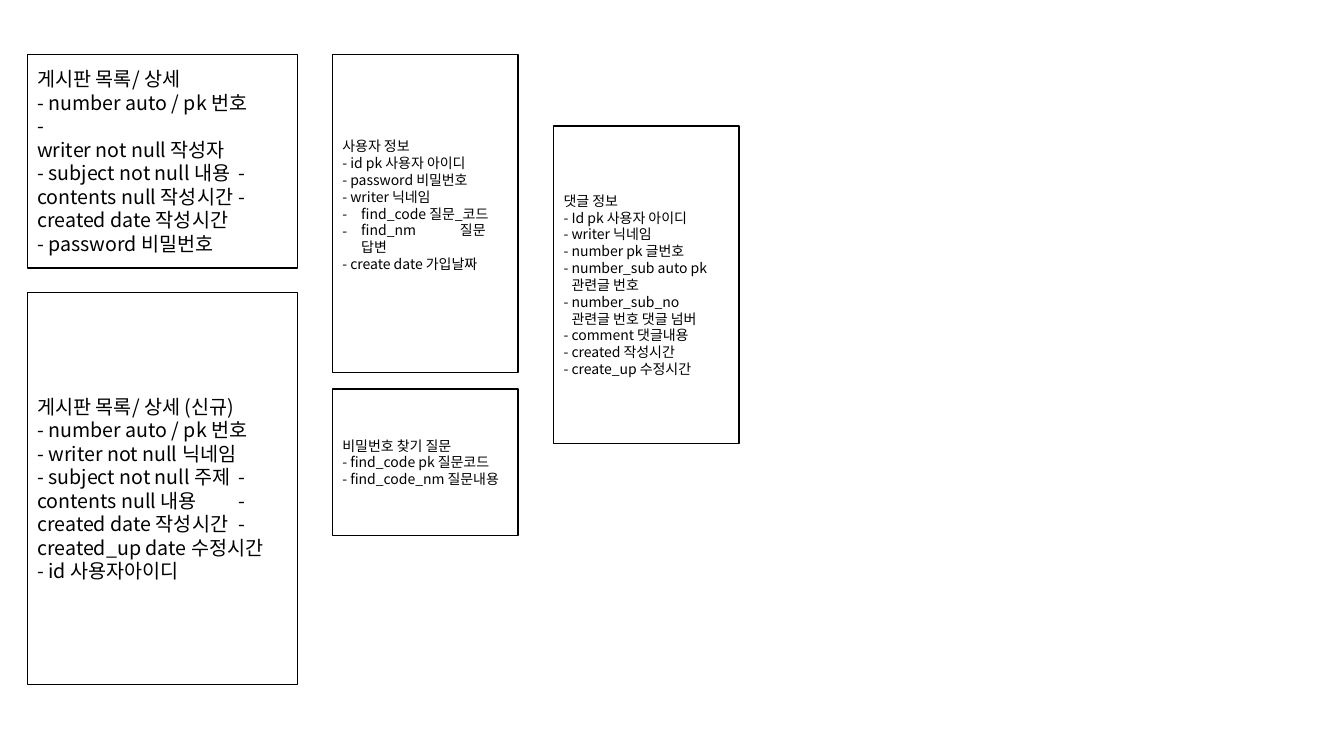
import copy
import pptx
import pptx.util
import pptx.dml.color
import pptx.enum.shapes
import pptx.enum.text
import pptx.oxml.ns
import lxml.etree

Pt = pptx.util.Pt
qn = pptx.oxml.ns.qn
FONT = "Noto Sans CJK KR"
BULLET = {"marL": 13.5, "indent": -13.5, "bullet": "-"}
HANGING = {"marL": 5.7}


def color(value):
    return pptx.dml.color.RGBColor.from_string(value)


def set_attrs(obj, values):
    for name, value in values.items():
        setattr(obj, name, value)


def format_paragraph(p, marL=0, indent=0, bullet=None, tab=None):
    pPr = p._p.get_or_add_pPr()
    pPr.set("marL", str(Pt(marL)))
    pPr.set("indent", str(Pt(indent)))
    if bullet:
        lxml.etree.SubElement(pPr, qn("a:buFont")).set("typeface", FONT)
        lxml.etree.SubElement(pPr, qn("a:buChar")).set("char", bullet)
    if tab:
        tabs = lxml.etree.SubElement(pPr, qn("a:tabLst"))
        stop = lxml.etree.SubElement(tabs, qn("a:tab"))
        stop.set("pos", str(Pt(tab)))
        stop.set("algn", "l")


def format_runs(p, size):
    for r in p.runs:
        set_attrs(r.font, {"size": Pt(size), "name": FONT})
        r.font.color.rgb = color("000000")
        rPr = r._r.get_or_add_rPr()
        lxml.etree.SubElement(rPr, qn("a:ea")).set("typeface", FONT)
    for br in p._p.findall(qn("a:br")):
        br.insert(0, copy.deepcopy(p.runs[0]._r.rPr))


def add_entity(s, box, size, lines, bottom=3.6):
    sp = s.shapes.add_shape(pptx.enum.shapes.MSO_SHAPE.RECTANGLE, *map(Pt, box))
    sp.shadow.inherit = False
    sp.fill.solid()
    sp.fill.fore_color.rgb = color("FFFFFF")
    sp.line.color.rgb = color("000000")
    sp.line.width = Pt(1)
    tf = sp.text_frame
    set_attrs(tf, {
        "word_wrap": True,
        "vertical_anchor": pptx.enum.text.MSO_ANCHOR.MIDDLE,
        "margin_bottom": Pt(bottom),
    })
    for i, line in enumerate(lines):
        text, layout = line if isinstance(line, tuple) else (line, {})
        p = tf.add_paragraph() if i else tf.paragraphs[0]
        set_attrs(p, {"text": text, "alignment": pptx.enum.text.PP_ALIGN.LEFT})
        format_paragraph(p, **layout)
        format_runs(p, size)


BOARD = [
    "게시판 목록/ 상세",
    ("- number auto / pk 번호\t-\vwriter not null 작성자", {"tab": 172}),
    ("- subject not null 내용\t-\vcontents null 작성시간\t-\vcreated date 작성시간",
     {"tab": 170}),
    "- password 비밀번호",
]
USER = [
    "사용자 정보",
    "- id pk 사용자 아이디",
    "- password 비밀번호",
    "- writer 닉네임",
    ("find_code 질문_코드", BULLET),
    ("find_nm\t질문\v답변", {**BULLET, "tab": 84}),
    "- create date 가입날짜",
]
COMMENT = [
    "댓글 정보",
    "- Id pk 사용자 아이디",
    "- writer 닉네임",
    "- number pk 글번호",
    "- number_sub auto pk",
    ("관련글 번호", HANGING),
    "- number_sub_no",
    ("관련글 번호 댓글 넘버", HANGING),
    "- comment 댓글내용",
    "- created 작성시간",
    "- create_up 수정시간",
]
NEW_BOARD = [
    "게시판 목록/ 상세 (신규)",
    "- number auto / pk 번호",
    "- writer not null 닉네임",
    ("- subject not null 주제\t-\vcontents null 내용\t-\vcreated date 작성시간\t-\v"
     "created_up date 수정시간\v- id 사용자아이디", {"tab": 164}),
]
QUESTION = [
    "비밀번호 찾기 질문",
    "- find_code pk 질문코드\v- find_code_nm 질문내용",
]


def add_entities(s, left, top):
    board_w, entity_w, entity_h = 193, 132.5, 227
    user_x, comment_x = left + 218, left + 376
    add_entity(s, (left, top, board_w, 152.5), 14, BOARD)
    add_entity(s, (user_x, top, entity_w, entity_h), 10, USER, bottom=15.6)
    add_entity(s, (comment_x, top + 51, entity_w, entity_h), 10, COMMENT)
    add_entity(s, (left, top + 170, board_w, 280), 14, NEW_BOARD)
    add_entity(s, (user_x, top + 239, entity_w, 104.5), 10, QUESTION)


prs = pptx.Presentation()
set_attrs(prs, {"slide_width": Pt(960), "slide_height": Pt(540)})
s = prs.slides.add_slide(prs.slide_layouts[6])
add_entities(s, 19.5, 39)
prs.save("out.pptx")
